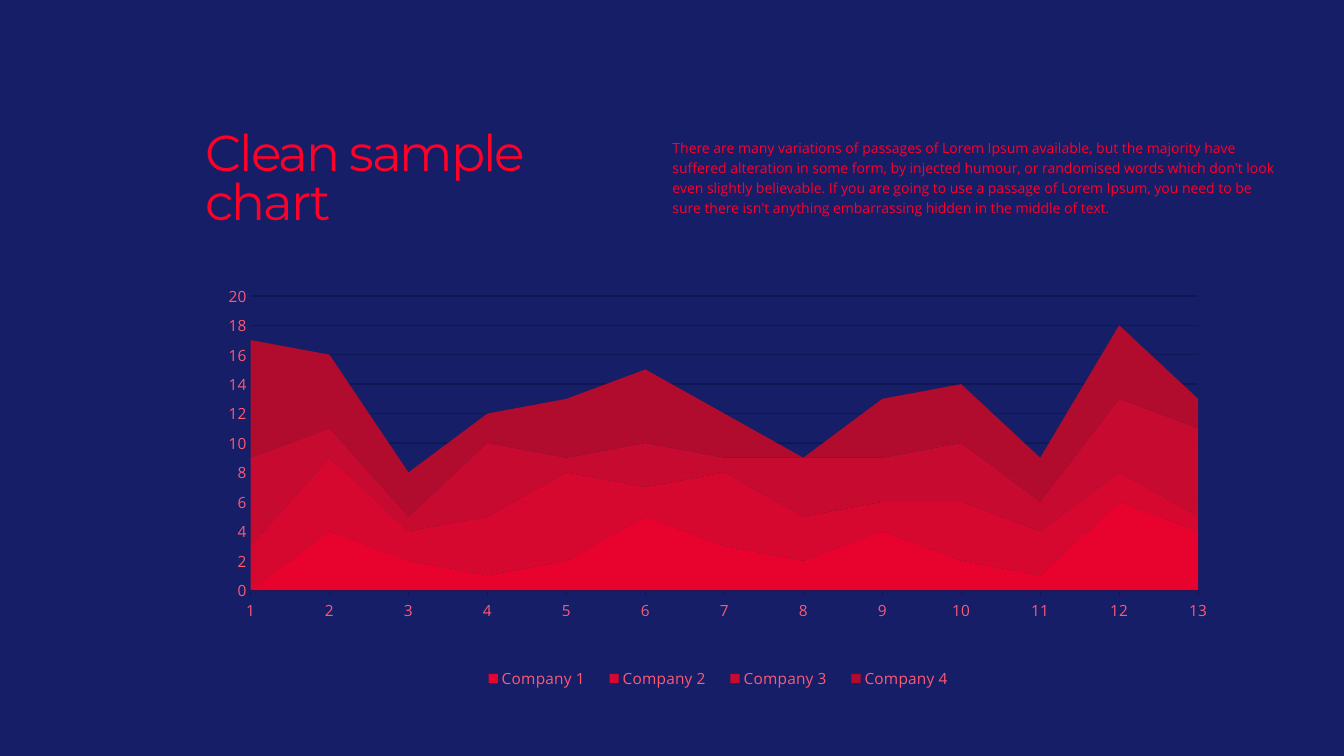
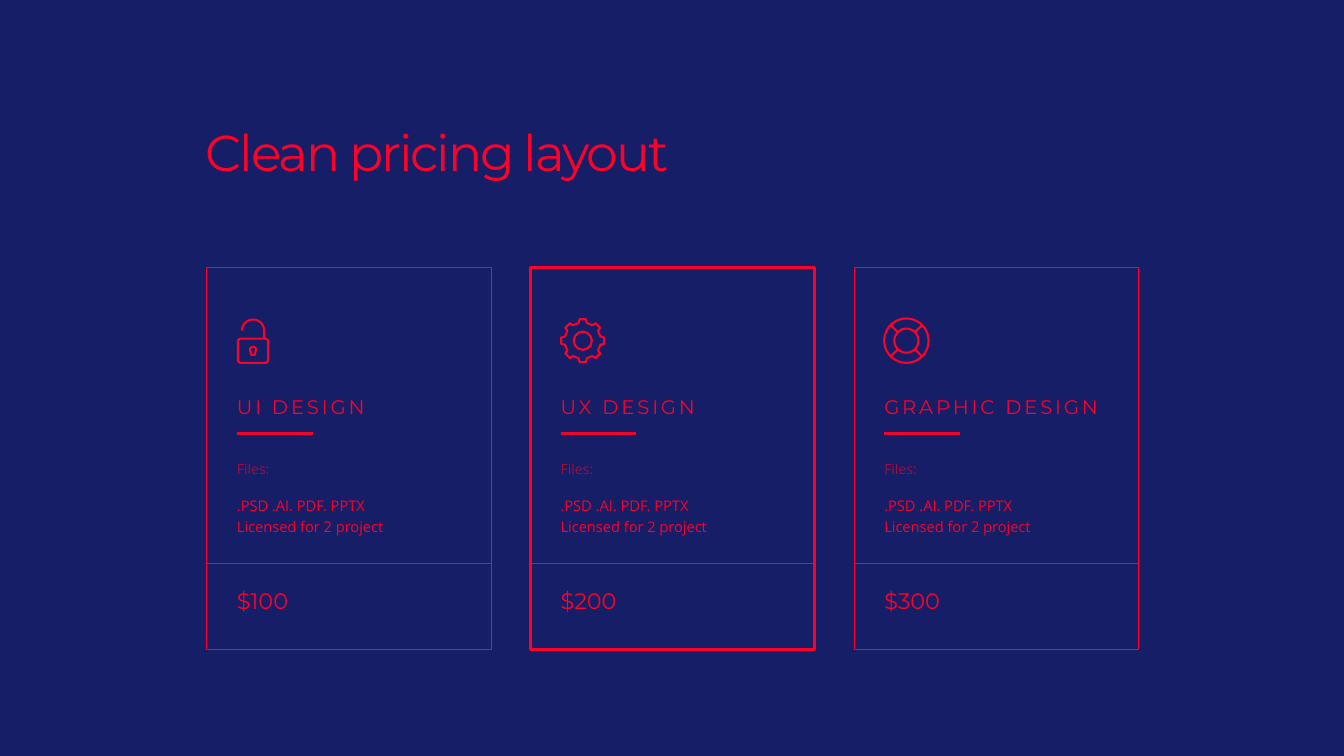
from math import cos, radians, sin

from lxml import etree
from pptx import Presentation
from pptx.chart.data import CategoryChartData
from pptx.dml.color import RGBColor
from pptx.enum.chart import XL_CHART_TYPE, XL_LEGEND_POSITION, XL_TICK_MARK
from pptx.enum.shapes import MSO_CONNECTOR, MSO_SHAPE
from pptx.enum.text import MSO_AUTO_SIZE
from pptx.oxml.ns import qn
from pptx.util import Inches, Pt

NAVY = RGBColor(0x15, 0x1E, 0x67)
RED = RGBColor(0xFF, 0x00, 0x28)
CRIMSON = RGBColor(0xEC, 0x06, 0x2B)
PINK = RGBColor(0xFF, 0x59, 0x73)
GRID_NAVY = RGBColor(0x10, 0x17, 0x56)
AREA_COLOURS = [RED, CRIMSON, RGBColor(0xDB, 0x08, 0x2A), RGBColor(0xC2, 0x0A, 0x28)]
HEADING_FONT = "Montserrat"
BODY_FONT = "Open Sans"

INTRO = (
    "There are many variations of passages of Lorem Ipsum available, but the majority "
    "have suffered alteration in some form, by injected humour, or randomised words "
    "which don't look even slightly believable. If you are going to use a passage of "
    "Lorem Ipsum, you need to be sure there isn't anything embarrassing hidden in the "
    "middle of text."
)
COMPANIES = {
    "Company 1": (0, 4, 2, 1, 2, 5, 3, 2, 4, 2, 1, 6, 4),
    "Company 2": (3, 5, 2, 4, 6, 2, 5, 3, 2, 4, 3, 2, 1),
    "Company 3": (6, 2, 1, 5, 1, 3, 1, 4, 3, 4, 2, 5, 6),
    "Company 4": (8, 5, 3, 2, 4, 5, 3, 0, 4, 4, 3, 5, 2),
}
FILES = ".PSD .AI. PDF. PPTX\nLicensed for 2 project"

CARD_LEFT, CARD_TOP, CARD_WIDTH, CARD_HEIGHT = 2.05, 2.65, 2.82, 3.79
CARD_STEP = 3.21
CARD_PADDING = 0.3
ICON_WIDTH = 1.5


def set_alpha(parent, percent):
    """Make the first solid colour inside parent partly transparent."""
    colour = next(parent.iter(qn("a:srgbClr")))
    etree.SubElement(colour, qn("a:alpha")).set("val", str(percent * 1000))


def add_text(slide, box, text, size, font=BODY_FONT, line_spacing=1.2, letter_spacing=0,
             insets=(0, 0, 0, 0), grow=True, alpha=None):
    frame = slide.shapes.add_textbox(*map(Inches, box)).text_frame
    frame.word_wrap = True
    frame.auto_size = MSO_AUTO_SIZE.SHAPE_TO_FIT_TEXT if grow else MSO_AUTO_SIZE.NONE
    (frame.margin_left, frame.margin_top,
     frame.margin_right, frame.margin_bottom) = map(Inches, insets)
    frame.text = text
    for paragraph in frame.paragraphs:
        paragraph.line_spacing = line_spacing
        for run in paragraph.runs:
            run.font.name = font
            run.font.size = Pt(size)
            run.font.color.rgb = RED
            if letter_spacing:
                run.font._element.set("spc", str(int(letter_spacing * 100)))
            if alpha:
                set_alpha(run.font._element, alpha)


def add_titled_slide(deck, title):
    slide = deck.slides.add_slide(deck.slide_layouts[6])
    slide.background.fill.solid()
    slide.background.fill.fore_color.rgb = NAVY
    add_text(slide, (2.04, 1.11, 4.62, 1.77), title, 36, HEADING_FONT, 0.8, -1.5,
             insets=(0, 0.21, 0, 0), grow=False)
    return slide


def style_outline(shape, width):
    shape.shadow.inherit = False
    shape.fill.background()
    shape.line.color.rgb = RED
    shape.line.width = Pt(width)


def add_outline(slide, preset, box, width):
    shape = slide.shapes.add_shape(preset, *map(Inches, box))
    style_outline(shape, width)
    return shape


def add_circle(slide, x, y, radius):
    box = (x - radius, y - radius, 2 * radius, 2 * radius)
    add_outline(slide, MSO_SHAPE.OVAL, box, ICON_WIDTH)


def add_path(slide, points, close=True):
    start, *rest = [(Inches(x), Inches(y)) for x, y in points]
    builder = slide.shapes.build_freeform(*start)
    builder.add_line_segments(rest, close=close)
    style_outline(builder.convert_to_shape(), ICON_WIDTH)


def add_line(slide, start, end, colour, width):
    line = slide.shapes.add_connector(
        MSO_CONNECTOR.STRAIGHT, *map(Inches, (*start, *end)))
    line.line.color.rgb = colour
    line.line.width = Pt(width)
    etree.SubElement(line._element.spPr, qn("a:effectLst"))


def polar(x, y, radius, degrees):
    return x + radius * cos(radians(degrees)), y + radius * sin(radians(degrees))


def arc(x, y, radius, first, last):
    return [polar(x, y, radius, angle) for angle in range(first, last + 1, 10)]


def draw_padlock(slide, left, top):
    middle = left + 0.16
    body = add_outline(slide, MSO_SHAPE.ROUNDED_RECTANGLE,
                       (left + 0.01, top + 0.2, 0.3, 0.24), ICON_WIDTH)
    body.adjustments[0] = 0.12
    shackle = arc(middle, top + 0.12, 0.11, 180, 360)
    add_path(slide, shackle + [(middle + 0.11, top + 0.2)], close=False)
    keyhole = arc(middle, top + 0.31, 0.03, 140, 400)
    add_path(slide, keyhole + [(middle + 0.02, top + 0.36), (middle - 0.02, top + 0.36)])


def draw_gear(slide, left, top):
    x, y = left + 0.22, top + 0.22
    tooth = [(-13, 0.18), (-8.5, 0.215), (8.5, 0.215), (13, 0.18)]
    add_path(slide, [polar(x, y, radius, turn + offset)
                     for turn in range(0, 360, 45) for offset, radius in tooth])
    add_circle(slide, x, y, 0.09)


def draw_lifebuoy(slide, left, top):
    x, y = left + 0.22, top + 0.22
    for radius in (0.12, 0.22):
        add_circle(slide, x, y, radius)
    for angle in range(45, 360, 90):
        add_line(slide, polar(x, y, 0.12, angle), polar(x, y, 0.22, angle),
                 RED, ICON_WIDTH)


def add_price_card(slide, left, service, price, draw_icon, border):
    text_left = left + CARD_PADDING
    add_outline(slide, MSO_SHAPE.RECTANGLE,
                (left, CARD_TOP, CARD_WIDTH, CARD_HEIGHT), border)
    draw_icon(slide, text_left, 3.16)
    add_text(slide, (text_left, 3.96, 2.45, 0.2), service, 14, HEADING_FONT, 0.8, 2)
    add_line(slide, (text_left, 4.3), (text_left + 0.75, 4.3), CRIMSON, 2)
    add_text(slide, (text_left, 4.54, 2.45, 0.19), "Files:", 10,
             insets=(0, 0, 0.1, 0), alpha=60)
    add_text(slide, (text_left, 4.89, 2.45, 0.42), FILES, 10.5, insets=(0, 0, 0.1, 0))
    add_line(slide, (left, 5.59), (left + CARD_WIDTH, 5.59), RED, 0.5)
    add_text(slide, (text_left, 5.88, 2.45, 0.23), price, 16, HEADING_FONT, 0.8)


def style_chart_font(font, colour):
    font.name = BODY_FONT
    font.size = Pt(11)
    font.color.rgb = colour


def set_layout(parent, before, x, y, width, height, inner=False):
    """Place a chart part by hand, in fractions of the chart."""
    for old in parent.findall(qn("c:layout")):
        parent.remove(old)
    layout = etree.Element(qn("c:layout"))
    manual = etree.SubElement(layout, qn("c:manualLayout"))
    settings = [("layoutTarget", "inner")] if inner else []
    settings += [("xMode", "edge"), ("yMode", "edge"),
                 ("x", x), ("y", y), ("w", width), ("h", height)]
    for tag, value in settings:
        etree.SubElement(manual, qn("c:" + tag)).set("val", str(value))
    parent.insert(before, layout)


def add_area_chart(slide):
    data = CategoryChartData()
    data.categories = range(1, 14)
    for company, values in COMPANIES.items():
        data.add_series(company, values)
    chart = slide.shapes.add_chart(
        XL_CHART_TYPE.AREA_STACKED, *map(Inches, (1.28, 1.98, 12.05, 5.31)), data).chart
    chart.has_title = False
    style_chart_font(chart.font, RED)

    for series, colour in zip(chart.plots[0].series, AREA_COLOURS):
        series.format.fill.solid()
        series.format.fill.fore_color.rgb = colour
        set_alpha(series.format._element if hasattr(series.format, "_element")
                  else series._element.spPr, 90)
        series.format.line.fill.background()

    months, totals = chart.category_axis, chart.value_axis
    for axis in (months, totals):
        style_chart_font(axis.tick_labels.font, PINK)
        axis.minor_tick_mark = XL_TICK_MARK.NONE
    months.major_tick_mark = XL_TICK_MARK.OUTSIDE
    months.has_major_gridlines = False
    months.format.line.color.rgb = GRID_NAVY
    months.format.line.width = Pt(0.75)
    totals.major_tick_mark = XL_TICK_MARK.NONE
    totals.minimum_scale, totals.maximum_scale, totals.major_unit = 0, 20, 2
    totals.format.line.fill.background()
    totals.has_major_gridlines = True
    totals.major_gridlines.format.line.color.rgb = GRID_NAVY
    totals.major_gridlines.format.line.width = Pt(1)
    totals._element.find(qn("c:crossBetween")).set("val", "midCat")

    chart.has_legend = True
    chart.legend.position = XL_LEGEND_POSITION.BOTTOM
    chart.legend.include_in_layout = False
    style_chart_font(chart.legend.font, PINK)
    set_layout(chart.legend._element, 1, 0.28, 0.86, 0.41, 0.07)
    plot_area = chart._chartSpace.chart.plotArea
    set_layout(plot_area, 0, 0.1, 0.18, 0.78, 0.55, inner=True)


def build_chart_slide(deck):
    slide = add_titled_slide(deck, "Clean sample\vchart")
    add_area_chart(slide)
    add_text(slide, (6.67, 1.3, 6.04, 0.91), INTRO, 10, insets=(0, 0.05, 0, 0.05))


def build_pricing_slide(deck):
    slide = add_titled_slide(deck, "Clean pricing layout")
    offers = [
        ("UI DESIGN", "$100", draw_padlock, 0.5),
        ("UX DESIGN", "$200", draw_gear, 2),
        ("GRAPHIC DESIGN", "$300", draw_lifebuoy, 0.5),
    ]
    for column, offer in enumerate(offers):
        add_price_card(slide, CARD_LEFT + column * CARD_STEP, *offer)


def main():
    deck = Presentation()
    deck.slide_width, deck.slide_height = Inches(13.33), Inches(7.5)
    build_chart_slide(deck)
    build_pricing_slide(deck)
    deck.save("out.pptx")


if __name__ == "__main__":
    main()
